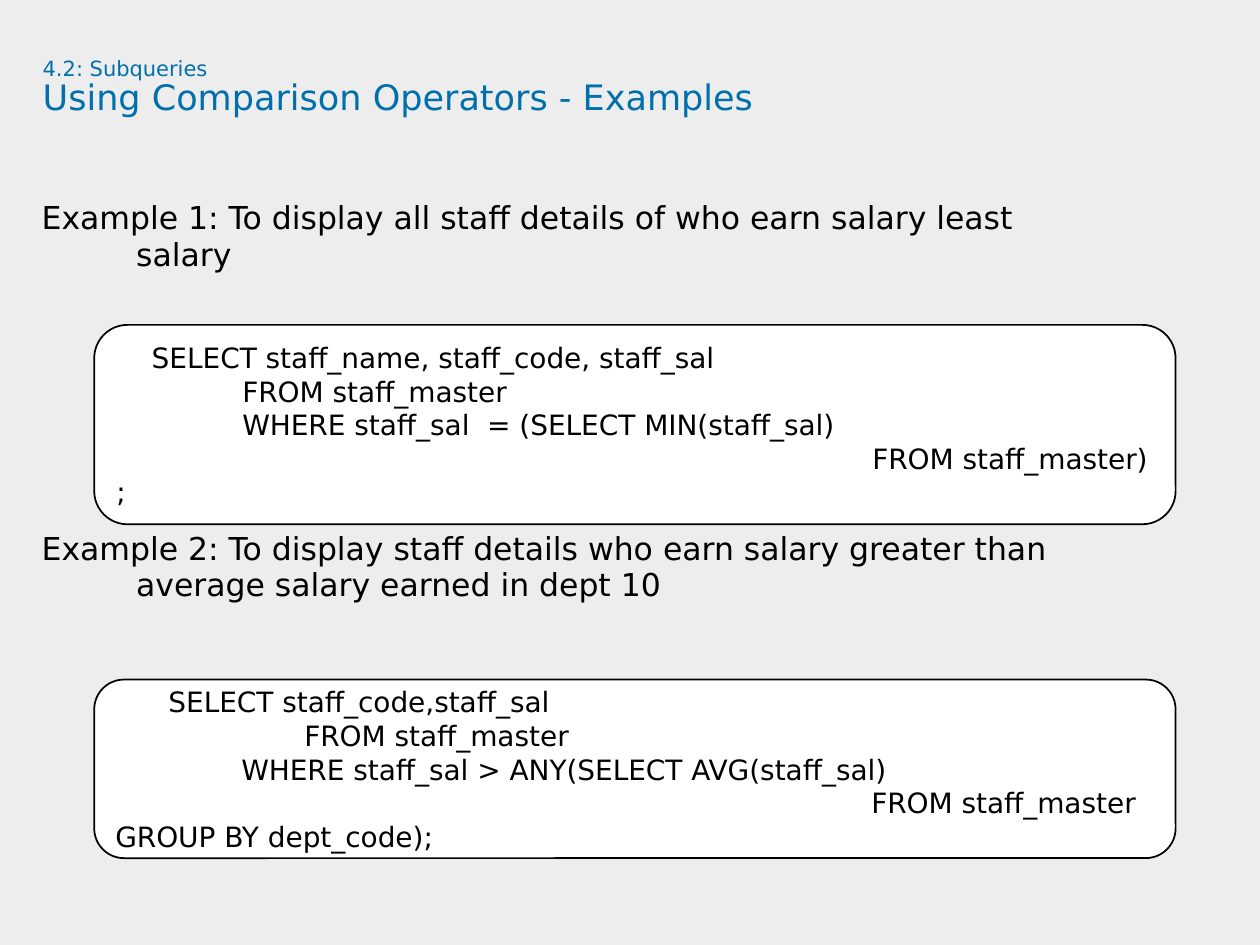
import pptx
import pptx.dml.color
import pptx.enum.shapes
import pptx.enum.text
import pptx.util
from lxml import etree
from pptx.oxml.ns import qn

Cm, Pt = pptx.util.Cm, pptx.util.Pt
RGB = pptx.dml.color.RGBColor.from_string
MSO_ANCHOR = pptx.enum.text.MSO_ANCHOR

THEME = {
    "font": "DejaVu Sans",
    "back": RGB("EDEDED"),
    "title": RGB("0070AD"),
    "text": RGB("000000"),
    "panel": RGB("FFFFFF"),
    "section_size": Pt(12),
    "title_size": Pt(20),
    "body_size": Pt(18),
    "code_size": Pt(16),
}

# Code tab stops in cm: two wide ones, then every quarter inch
CODE_TABS = [0.635] + [1.905 + 0.635 * i for i in range(12)]

EXAMPLES = [
    ("Example 1: To display all staff details of who earn salary least", "salary"),
    ("Example 2: To display staff details who earn salary greater than",
     "average salary earned in dept 10"),
]

MIN_QUERY = [
    "    SELECT staff_name, staff_code, staff_sal",
    "   \t \tFROM staff_master",
    "    \t\tWHERE staff_sal  = (SELECT MIN(staff_sal)",
    "\t" * 12 + "FROM staff_master) ;",
]
AVG_QUERY = [
    "      SELECT staff_code,staff_sal",
    "\t\t\tFROM staff_master",
    "      \t\tWHERE staff_sal > ANY(SELECT AVG(staff_sal)",
    "      " + "\t" * 12 + "FROM staff_master  GROUP BY dept_code);",
]


def set_all(obj, values):
    for name, value in values.items():
        setattr(obj, name, value)


def place(sp, box):
    set_all(sp, dict(zip(("left", "top", "width", "height"), map(Cm, box))))


def set_frame(tf, anchor, side=0, edge=0):
    set_all(tf, {
        "word_wrap": True, "auto_size": pptx.enum.text.MSO_AUTO_SIZE.NONE,
        "vertical_anchor": anchor,
        "margin_left": Cm(side), "margin_right": Cm(side),
        "margin_top": Cm(edge), "margin_bottom": Cm(edge),
    })


def add_line(tf, text, size, color, indent=0, tabs=(), **spacing):
    """Fill the first empty paragraph, or add one, with a single run."""
    p = tf.paragraphs[0] if not tf.paragraphs[0].runs else tf.add_paragraph()
    pPr = p._p.get_or_add_pPr()
    pPr.set("marL", str(Cm(indent)))
    pPr.set("indent", "0")
    etree.SubElement(pPr, qn("a:buNone"))
    if tabs:
        tab_list = etree.SubElement(pPr, qn("a:tabLst"))
        for pos in tabs:
            etree.SubElement(tab_list, qn("a:tab"), pos=str(Cm(pos)), algn="l")
    set_all(p, {"alignment": pptx.enum.text.PP_ALIGN.LEFT,
                "space_before": Pt(0), **spacing})
    r = p.add_run()
    r.text = text
    set_all(r.font, {"name": THEME["font"], "size": size})
    r.font.color.rgb = color


def fill_title(sp, box):
    place(sp, box)
    tf = sp.text_frame
    set_frame(tf, MSO_ANCHOR.TOP)
    for text, size in (("4.2: Subqueries", "section_size"),
                       ("Using Comparison Operators - Examples", "title_size")):
        add_line(tf, text, THEME[size], THEME["title"], line_spacing=0.9)


def fill_examples(sp, box):
    place(sp, box)
    tf = sp.text_frame
    set_frame(tf, MSO_ANCHOR.TOP)
    for i, (first, second) in enumerate(EXAMPLES):
        # Room for the code panel before each later example
        for text, indent, before in ((first, 0, 147 * i), (second, 1.905, 0)):
            add_line(tf, text, THEME["body_size"], THEME["text"], indent,
                     line_spacing=Pt(16.5), space_before=Pt(before),
                     space_after=Pt(4.5))


def add_code_panel(s, box, lines):
    sp = s.shapes.add_shape(
        pptx.enum.shapes.MSO_SHAPE.ROUNDED_RECTANGLE, *map(Cm, box))
    sp.shadow.inherit = False
    sp.fill.solid()
    sp.fill.fore_color.rgb = THEME["panel"]
    sp.line.color.rgb = THEME["text"]
    sp.line.width = Pt(1)
    tf = sp.text_frame
    set_frame(tf, MSO_ANCHOR.MIDDLE, 0.25, 0.13)
    for text in lines:
        add_line(tf, text, THEME["code_size"], THEME["text"], tabs=CODE_TABS)


def main():
    prs = pptx.Presentation()
    set_all(prs, {"slide_width": Cm(25.4), "slide_height": Cm(19.05)})
    s = prs.slides.add_slide(prs.slide_layouts[1])
    s.background.fill.solid()
    s.background.fill.fore_color.rgb = THEME["back"]

    # Heading and example descriptions
    fill_title(s.shapes.title, (0.86, 1.17, 23.09, 2.39))
    fill_examples(s.placeholders[1], (0.84, 4.17, 24.56, 12.9))

    # One query under each example
    add_code_panel(s, (1.9, 6.55, 21.8, 4.02), MIN_QUERY)
    add_code_panel(s, (1.9, 13.7, 21.8, 3.6), AVG_QUERY)
    prs.save("out.pptx")


if __name__ == "__main__":
    main()
